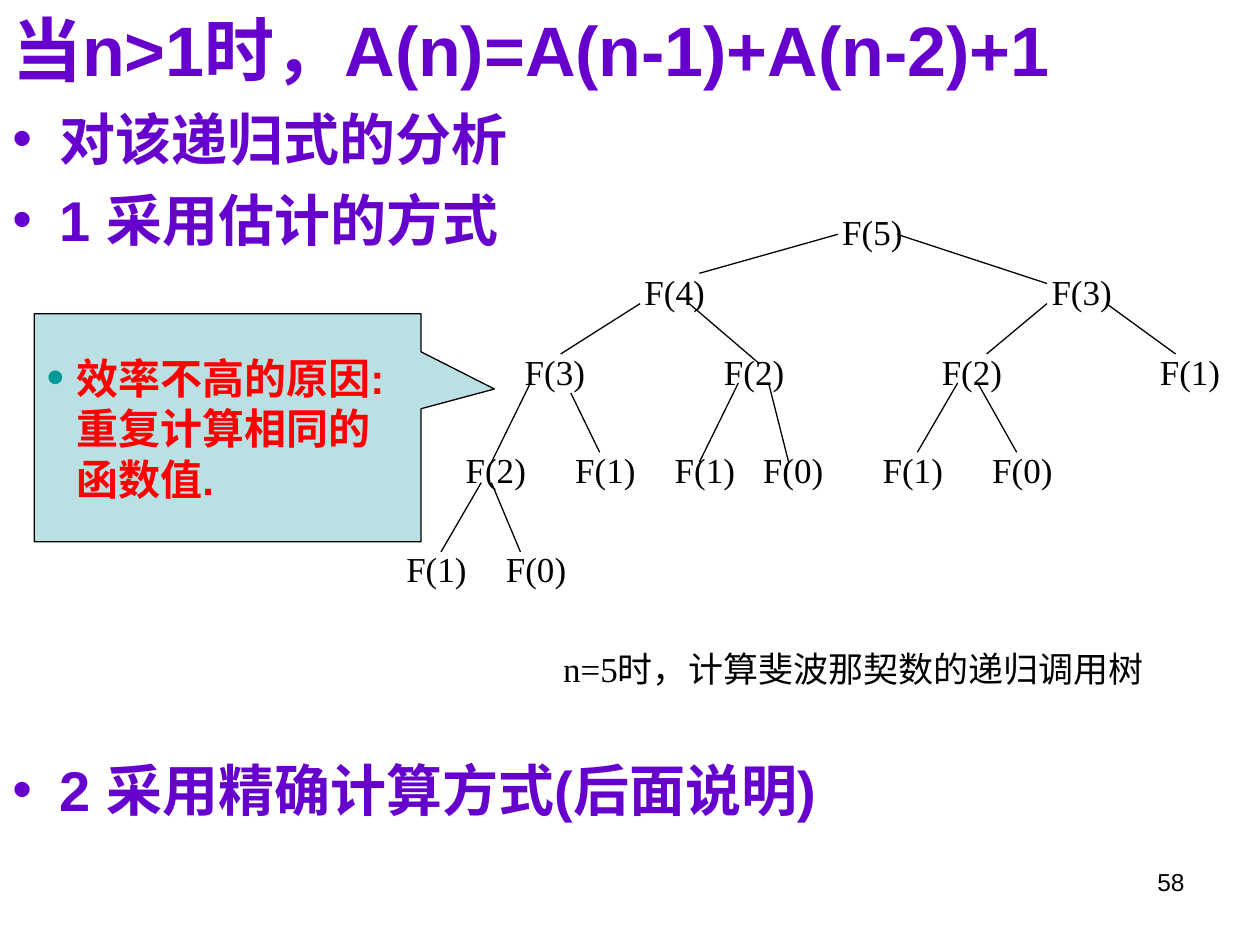
from lxml import etree
from pptx import Presentation
from pptx.dml.color import RGBColor
from pptx.enum import shapes, text
from pptx.oxml.ns import qn
from pptx.util import Pt

PURPLE = RGBColor(0x66, 0x00, 0xCC)
RED = RGBColor(0xFF, 0x00, 0x00)
TEAL = RGBColor(0x00, 0x99, 0x99)
PALE_BLUE = RGBColor(0xBB, 0xE0, 0xE3)
BLACK = RGBColor(0x00, 0x00, 0x00)

NODE_W, NODE_H = 51, 31.7

# top of each level, then (left, label) of its calls
TREE_LEVELS = [
    (116.6, [(473, "F(5)")]),
    (151.2, [(360, "F(4)"), (592.6, "F(3)")]),
    (196.6, [(291.6, "F(3)"), (405.4, "F(2)"), (529.9, "F(2)"), (654.5, "F(1)")]),
    (252.7, [(257.8, "F(2)"), (320.4, "F(1)"), (377.3, "F(1)"),
             (427.7, "F(0)"), (496.1, "F(1)"), (558.7, "F(0)")]),
    (309.6, [(223.9, "F(1)"), (280.8, "F(0)")]),
]

# x1, y1, x2, y2
TREE_EDGES = [
    (399.6, 156.2, 478.8, 133.9), (512.6, 133.9, 598.3, 162),
    (365.8, 173.5, 320.4, 202.3), (393.8, 173.5, 433.4, 207.4),
    (598.3, 173.5, 563.8, 202.3), (632.2, 173.5, 671.8, 202.3),
    (303.1, 218.9, 280.8, 264.2), (326.2, 224.6, 342.7, 258.5),
    (421.9, 218.9, 399.6, 264.2), (439.2, 218.9, 450.7, 264.2),
    (547.2, 218.9, 524.2, 258.5), (558.7, 218.9, 581, 258.5),
    (275, 275.8, 252, 315.4), (280.8, 275.8, 297.4, 315.4),
]


def add_box(s, left, top, width, height):
    sp = s.shapes.add_textbox(Pt(left), Pt(top), Pt(width), Pt(height))
    sp.text_frame.word_wrap = True
    return sp.text_frame


def add_run(p, words, size, font, color, bold=False):
    r = p.add_run()
    r.text = words
    r.font.size = Pt(size)
    r.font.name = font
    r.font.bold = bold
    r.font.color.rgb = color


def set_hanging(p, indent, bullet_color=None, bullet_percent=100):
    """Hang the paragraph by indent, with a bullet if a colour is given."""
    pPr = p._p.get_or_add_pPr()
    pPr.set("marL", str(Pt(indent)))
    pPr.set("indent", str(-Pt(indent)))
    if bullet_color is not None:
        clr = etree.SubElement(pPr, qn("a:buClr"))
        etree.SubElement(clr, qn("a:srgbClr")).set("val", str(bullet_color))
        etree.SubElement(pPr, qn("a:buSzPct")).set("val", str(bullet_percent * 1000))
        etree.SubElement(pPr, qn("a:buFont")).set("typeface", "Arial")
        etree.SubElement(pPr, qn("a:buChar")).set("char", "•")


def add_heading_bullet(p, words):
    set_hanging(p, 27, PURPLE)
    add_run(p, words, 32, "Arial", PURPLE, True)


def add_headings(s):
    tf = add_box(s, 0, 0, 720, 150)
    p = tf.paragraphs[0]
    set_hanging(p, 27)
    add_run(p, "当n>1时，A(n)=A(n-1)+A(n-2)+1", 40, "Arial", PURPLE, True)
    for words in ("对该递归式的分析", "1 采用估计的方式"):
        p = tf.add_paragraph()
        add_heading_bullet(p, words)
        p.space_before = Pt(8)
    tf = add_box(s, 0, 428, 720, 48)
    add_heading_bullet(tf.paragraphs[0], "2 采用精确计算方式(后面说明)")


def add_tree_label(s, words, left, top, width=NODE_W):
    p = add_box(s, left, top, width, NODE_H).paragraphs[0]
    p.alignment = text.PP_ALIGN.CENTER
    add_run(p, words, 20, "Times New Roman", BLACK)


def add_edge(s, x1, y1, x2, y2):
    line = s.shapes.add_connector(
        shapes.MSO_CONNECTOR.STRAIGHT, Pt(x1), Pt(y1), Pt(x2), Pt(y2))
    line.line.color.rgb = BLACK
    line.line.width = Pt(0.75)
    etree.SubElement(line._element.spPr, qn("a:effectLst"))


def add_call_tree(s):
    for top, calls in TREE_LEVELS:
        for left, label in calls:
            add_tree_label(s, label, left, top)
    for edge in TREE_EDGES:
        add_edge(s, *edge)
    add_tree_label(s, "n=5时，计算斐波那契数的递归调用树", 275, 366.5, 425.5)


def add_callout(s):
    sp = s.shapes.add_shape(
        shapes.MSO_SHAPE.RECTANGULAR_CALLOUT, Pt(19.6), Pt(179.3), Pt(221), Pt(130.3))
    sp.adjustments[0] = 0.69
    sp.adjustments[1] = -0.17
    sp.shadow.inherit = False
    sp.fill.solid()
    sp.fill.fore_color.rgb = PALE_BLUE
    sp.line.color.rgb = BLACK
    sp.line.width = Pt(0.75)
    tf = sp.text_frame
    tf.word_wrap = True
    tf.vertical_anchor = text.MSO_ANCHOR.MIDDLE
    p = tf.paragraphs[0]
    p.alignment = text.PP_ALIGN.LEFT
    set_hanging(p, 17, TEAL, 120)
    add_run(p, "效率不高的原因:重复计算相同的函数值.", 24, "Arial", RED, True)


def add_page_number(s):
    p = add_box(s, 516.2, 491.8, 167.8, 37.4).paragraphs[0]
    p.alignment = text.PP_ALIGN.RIGHT
    add_run(p, "58", 14, "Arial", BLACK)


def main():
    prs = Presentation()
    prs.slide_width, prs.slide_height = Pt(720), Pt(540)
    s = prs.slides.add_slide(prs.slide_layouts[6])
    add_headings(s)
    add_call_tree(s)
    add_callout(s)
    add_page_number(s)
    prs.save("out.pptx")


if __name__ == "__main__":
    main()
